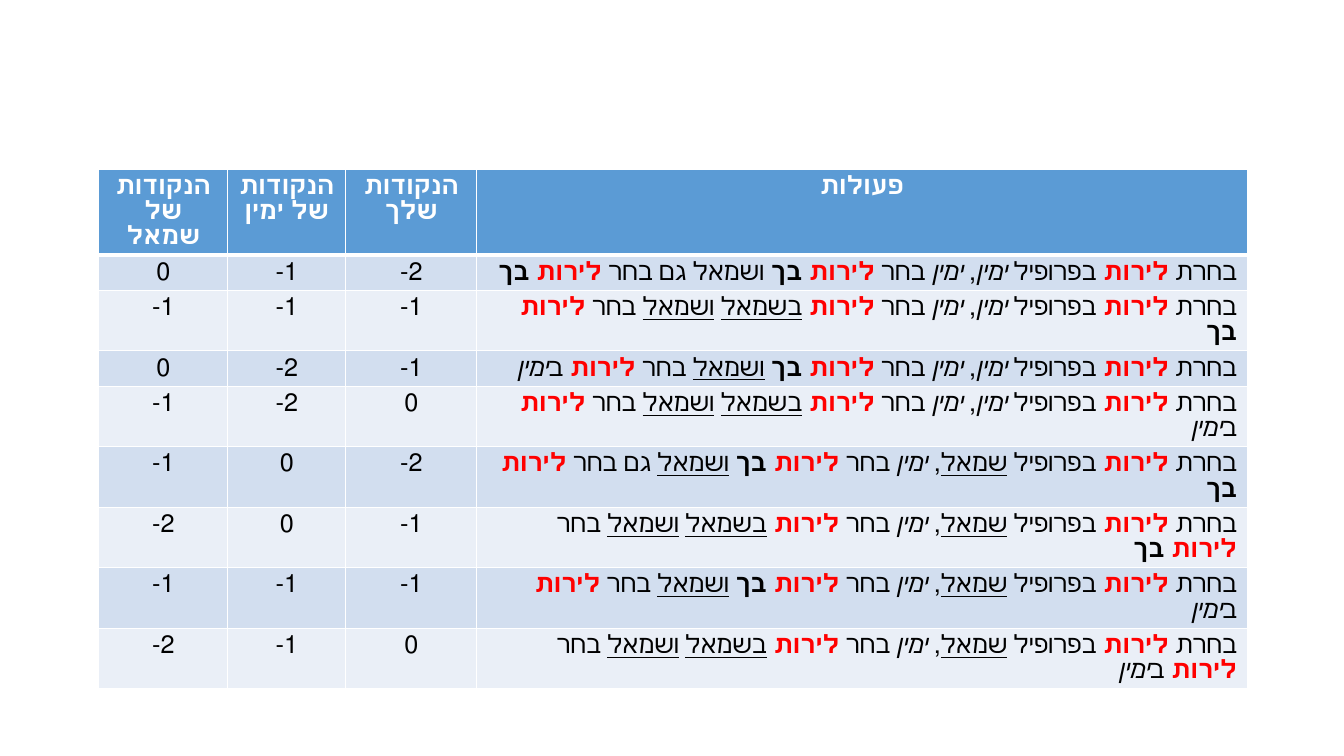
from dataclasses import dataclass

from lxml.etree import SubElement
from pptx import Presentation
from pptx.dml.color import RGBColor
from pptx.enum.lang import MSO_LANGUAGE_ID
from pptx.enum.text import PP_ALIGN
from pptx.oxml.ns import qn
from pptx.util import Inches, Pt


@dataclass(frozen=True)
class Theme:
    """Colours, font and sizes of the slide."""
    font: str = "Calibri"
    size: int = 18
    white: str = "FFFFFF"
    black: str = "000000"
    red: str = "FF0000"
    header: str = "5B9BD5"
    bands: tuple = ("D2DEEF", "EAEFF7")
    thin: int = 1
    thick: int = 3


class SlideBuilder:
    """Holds the theme and the current slide."""

    def __init__(self, slide, theme):
        """Keep the slide and its theme."""
        self.slide = slide
        self.theme = theme

    def add_run(self, paragraph, text, style, color):
        """Add one run; the style is plain, bold, italic, underline or shoot."""
        run = paragraph.add_run()
        run.text = text
        font = run.font
        font.name = self.theme.font
        font.size = Pt(self.theme.size)
        font.language_id = MSO_LANGUAGE_ID.HEBREW
        font.bold = style in ("bold", "shoot")
        font.italic = style == "italic"
        font.underline = style == "underline"
        font.color.rgb = RGBColor.from_string(self.theme.red if style == "shoot" else color)

    def add_borders(self, cell, top, bottom):
        """Draw white borders around a cell."""
        properties = cell._tc.get_or_add_tcPr()
        widths = {"L": self.theme.thin, "R": self.theme.thin, "T": top, "B": bottom}
        for side, width in widths.items():
            line = SubElement(properties, qn(f"a:ln{side}"), w=str(Pt(width)))
            fill = SubElement(line, qn("a:solidFill"))
            SubElement(fill, qn("a:srgbClr"), val=self.theme.white)

    def fill_cell(self, cell, runs, alignment, row_index):
        """Write right-to-left runs in a cell and style it by its row."""
        theme = self.theme
        is_header = row_index == 0
        self.add_borders(cell,
                         theme.thick if row_index == 1 else theme.thin,
                         theme.thick if is_header else theme.thin)
        cell.fill.solid()
        band = theme.header if is_header else theme.bands[(row_index - 1) % 2]
        cell.fill.fore_color.rgb = RGBColor.from_string(band)
        paragraph = cell.text_frame.paragraphs[0]
        paragraph.alignment = alignment
        paragraph._p.get_or_add_pPr().set("rtl", "1")
        for text, style in runs:
            self.add_run(paragraph, text, style, theme.white if is_header else theme.black)

    def add_table(self, left, top, widths, heights, rows):
        """Add a table whose last column is right aligned below the header."""
        frame = self.slide.shapes.add_table(
            len(rows), len(widths), Inches(left), Inches(top),
            Inches(sum(widths)), Inches(sum(heights)))
        table = frame.table
        for column, width in zip(table.columns, widths):
            column.width = Inches(width)
        for row, height in zip(table.rows, heights):
            row.height = Inches(height)
        for row_index, row in enumerate(rows):
            for column_index, runs in enumerate(row):
                is_action = row_index > 0 and column_index == len(widths) - 1
                alignment = PP_ALIGN.RIGHT if is_action else PP_ALIGN.CENTER
                self.fill_cell(table.cell(row_index, column_index), runs, alignment, row_index)


SHOOT = ("לירות ", "shoot")
RIGHT = ("ימין", "italic")
LEFT = ("שמאל", "underline")
AND_LEFT = [("ושמאל", "underline")]
AND_LEFT_PLAIN = [("ושמאל", "plain")]
AT_YOU = [("בך", "bold")]
AT_LEFT = [("בשמאל", "underline")]
AT_RIGHT = [("ב", "plain"), RIGHT]
CHOSE, ALSO_CHOSE = " בחר ", " גם בחר "

HEADERS = ["הנקודות של שמאל", "הנקודות של ימין", "הנקודות שלך", "פעולות"]

# Points of left, right and you; profile shot; target of right; left; verb; target of left
ROUNDS = [
    ("0", "1-", "2-", RIGHT, AT_YOU, AND_LEFT_PLAIN, ALSO_CHOSE, AT_YOU),
    ("1-", "1-", "1-", RIGHT, AT_LEFT, AND_LEFT, CHOSE, AT_YOU),
    ("0", "2-", "1-", RIGHT, AT_YOU, AND_LEFT, CHOSE, AT_RIGHT),
    ("1-", "2-", "0", RIGHT, AT_LEFT, AND_LEFT, CHOSE, AT_RIGHT),
    ("1-", "0", "2-", LEFT, AT_YOU, AND_LEFT, ALSO_CHOSE, AT_YOU),
    ("2-", "0", "1-", LEFT, AT_LEFT, AND_LEFT, CHOSE, AT_YOU),
    ("1-", "1-", "1-", LEFT, AT_YOU, AND_LEFT, CHOSE, AT_RIGHT),
    ("2-", "1-", "0", LEFT, AT_LEFT, AND_LEFT, CHOSE, AT_RIGHT),
]


def describe_actions(profile, right_target, left_player, left_verb, left_target):
    """Return the runs of the sentence that tells who shot whom."""
    return [("בחרת ", "plain"), SHOOT, ("בפרופיל ", "plain"), profile,
            (", ", "plain"), RIGHT, (CHOSE, "plain"), SHOOT, *right_target,
            (" ", "plain"), *left_player, (left_verb, "plain"), SHOOT, *left_target]


def build_rows():
    """Return the header and one row for each round."""
    rows = [[[(header, "bold")] for header in HEADERS]]
    for *points, profile, right_target, left_player, verb, left_target in ROUNDS:
        actions = describe_actions(profile, right_target, left_player, verb, left_target)
        rows.append([[(point, "plain")] for point in points] + [actions])
    return rows


def main():
    """Build and save the presentation."""
    presentation = Presentation()
    presentation.slide_width = Inches(13.33)
    presentation.slide_height = Inches(7.5)
    slide = presentation.slides.add_slide(presentation.slide_layouts[6])
    builder = SlideBuilder(slide, Theme())
    builder.add_table(0.98, 1.68, [1.28, 1.17, 1.3, 7.64],
                      [0.56] + [0.32] * 3 + [0.45] * 5, build_rows())
    presentation.save("out.pptx")


main()
